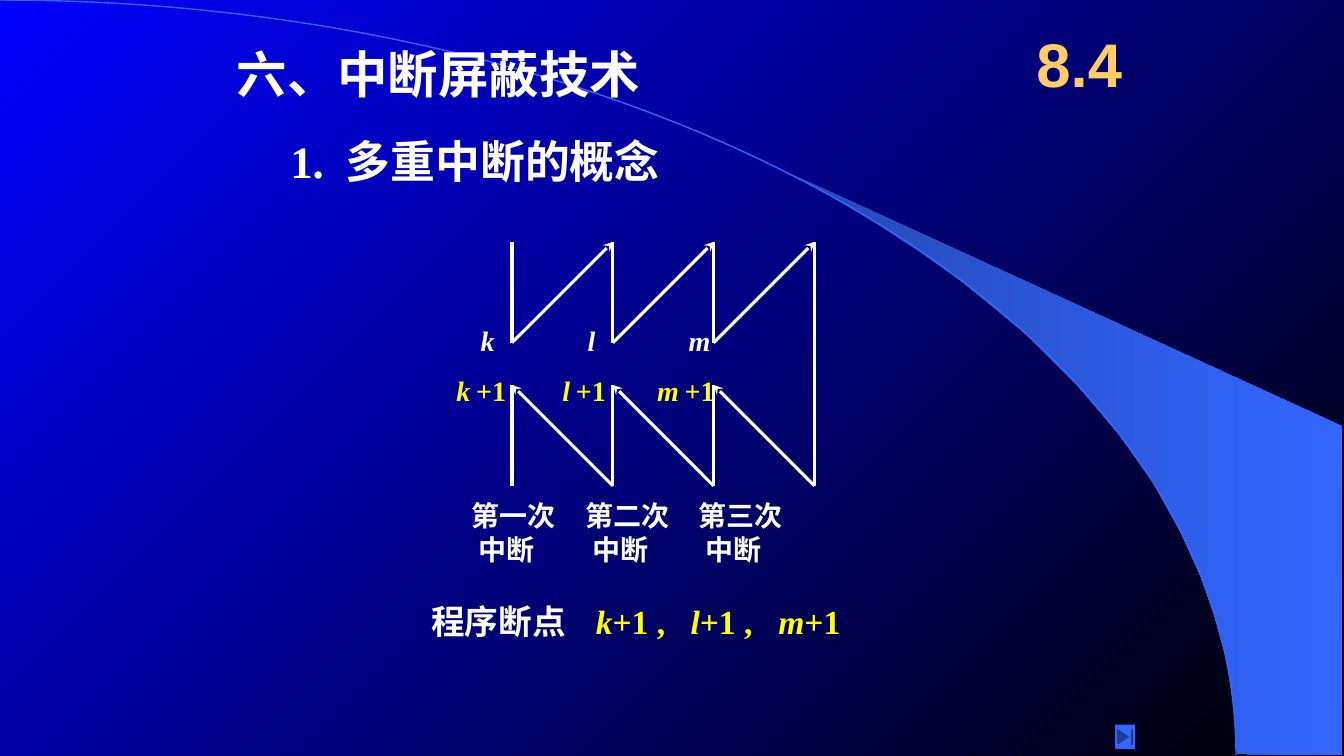
"""Build the slide that explains nested interrupts and their breakpoints."""
from typing import Any, NamedTuple

from lxml.etree import SubElement
from pptx import Presentation
from pptx.dml.color import RGBColor
from pptx.enum.shapes import MSO_CONNECTOR, MSO_SHAPE
from pptx.enum.text import MSO_ANCHOR, MSO_AUTO_SIZE, PP_ALIGN
from pptx.oxml.ns import qn
from pptx.shapes.autoshape import Shape
from pptx.slide import Slide
from pptx.util import Emu, Inches, Pt

STRAIGHT = MSO_CONNECTOR.STRAIGHT
END_BUTTON = MSO_SHAPE.ACTION_BUTTON_END
MIDDLE = MSO_ANCHOR.MIDDLE
GROW = MSO_AUTO_SIZE.SHAPE_TO_FIT_TEXT
LEFT, CENTER = PP_ALIGN.LEFT, PP_ALIGN.CENTER

WIDTH, HEIGHT = Inches(13.33), Inches(7.5)
COLORS = {
    "blue": "0000FF", "black": "000000", "deep": "2449B6", "sky": "3366FF",
    "white": "FFFFFF", "yellow": "FFFF00", "gold": "FFCC66",
}
SERIF, SANS = "Times New Roman", "Arial"
GROWING = {"word_wrap": False, "auto_size": GROW}
WRAPPED = {"word_wrap": True, "auto_size": GROW}
CENTERED = {"word_wrap": True, "vertical_anchor": MIDDLE}
TIGHT = {
    "word_wrap": False, "vertical_anchor": MIDDLE,
    "margin_left": 0, "margin_top": 0, "margin_right": 0, "margin_bottom": 0,
}
ZIGZAG_LEFT, ZIGZAG_STEP = 38.1, 7.5
CALL_TOP, CALL_BOTTOM, RETURN_TOP, RETURN_BOTTOM = 32, 45.33, 50.93, 64.27
CAPTION_LEFT, CAPTION_STEP = 34.36, 8.45


class Point(NamedTuple):
    x: float
    y: float


class Box(NamedTuple):
    left: float
    top: float
    width: float
    height: float


class Part(NamedTuple):
    text: str
    color: str = "white"
    italic: bool = False
    size: float | None = None


class TextBlock(NamedTuple):
    box: Box
    size: float
    lines: list[list[Part]]
    frame: dict[str, Any] = GROWING
    font: str = SERIF
    align: PP_ALIGN = LEFT
    tabs: tuple[float, ...] = ()
    later_indent: float = 0


class Interrupt(NamedTuple):
    name: str
    ordinal: str
    stop: Box
    resume: Box


INTERRUPTS = [
    Interrupt("k", "第一次", Box(35.03, 42.13, 2.55, 5.73), Box(33.23, 48.8, 5.18, 5.73)),
    Interrupt("l", "第二次", Box(42.99, 42.13, 2.1, 5.73), Box(41.11, 48.8, 4.73, 5.73)),
    Interrupt("m", "第三次", Box(50.49, 42.13, 3.15, 5.73), Box(48.16, 48.8, 5.78, 5.73)),
]
STATEMENTS = [
    TextBlock(Box(21.6, 18.13, 32, 6.27), 32, [[Part("1.\t多重中断的概念")]], TIGHT,
              tabs=(4.13,)),
    TextBlock(Box(16.88, 5.07, 31.66, 9.33), 36, [[Part("六、中断屏蔽技术")]]),
    TextBlock(Box(75.62, 2.2, 9.38, 12.27), 44, [[Part("8.4", "gold")]], CENTERED,
              SANS, CENTER),
    TextBlock(Box(31.36, 78.85, 36.16, 6.67), 24, [[
        Part("程序断点\t"),
        Part("k", "yellow", True), Part("+1 ,\t", "yellow"),
        Part("l", "yellow", True), Part("+1 ,\t", "yellow"),
        Part("m", "yellow", True), Part("+1", "yellow")]],
        WRAPPED, tabs=(12.23, 19.28, 25.81)),
]
BEAM = [
    Point(92.05, 99.73), Point(99.85, 99.87), Point(99.85, 56.4), Point(58.96, 23.07),
    Point(62.42, 26.53), Point(65.27, 29.6), Point(68.49, 33.33), Point(71.64, 37.33),
    Point(76.22, 44), Point(80.27, 51.2), Point(83.27, 57.47), Point(85.82, 63.87),
    Point(87.85, 70.4), Point(89.35, 76.27), Point(90.32, 81.2), Point(91.3, 87.47),
    Point(91.75, 92.8),
]
HORIZON = [Point(0, 0), Point(50.79, 0), Point(91.97, 44.67), Point(91.97, 99.87)]
HORIZON_STEPS = 60


def across(share: float) -> Emu:
    return Emu(round(WIDTH * share / 100))


def down(share: float) -> Emu:
    return Emu(round(HEIGHT * share / 100))


def frame_of(box: Box) -> tuple[Emu, Emu, Emu, Emu]:
    return across(box.left), down(box.top), across(box.width), down(box.height)


def rgb(name: str) -> RGBColor:
    return RGBColor.from_string(COLORS[name])


def paint_gradient(fill: Any, names: tuple[str, str], angle: float) -> None:
    fill.gradient()
    fill.gradient_angle = angle
    for stop, name in zip(fill.gradient_stops, names):
        stop.color.rgb = rgb(name)


def curve_point(controls: list[Point], t: float) -> Point:
    weights = ((1 - t) ** 3, 3 * t * (1 - t) ** 2, 3 * t ** 2 * (1 - t), t ** 3)
    return Point(*(sum(w * v for w, v in zip(weights, axis)) for axis in zip(*controls)))


def draw_outline(slide: Slide, points: list[Point], close: bool) -> Shape:
    corners = [(across(point.x), down(point.y)) for point in points]
    builder = slide.shapes.build_freeform(*corners[0])
    builder.add_line_segments(corners[1:], close=close)
    outline = builder.convert_to_shape()
    outline.shadow.inherit = False
    return outline


def draw_backdrop(slide: Slide) -> None:
    paint_gradient(slide.background.fill, ("blue", "black"), 315)
    beam = draw_outline(slide, BEAM, True)
    paint_gradient(beam.fill, ("deep", "sky"), 0)
    beam.line.fill.background()
    arc = [curve_point(HORIZON, n / HORIZON_STEPS) for n in range(HORIZON_STEPS + 1)]
    horizon = draw_outline(slide, arc, False)
    horizon.fill.background()
    horizon.line.color.rgb = rgb("sky")
    horizon.line.width = Pt(1)


def draw_line(slide: Slide, start: Point, end: Point, arrow: bool = False) -> None:
    stroke = slide.shapes.add_connector(
        STRAIGHT, across(start.x), down(start.y), across(end.x), down(end.y))
    stroke.line.color.rgb = rgb("white")
    stroke.line.width = Pt(2.25)
    properties = stroke.element.spPr
    if arrow:
        SubElement(properties.find(qn("a:ln")), qn("a:tailEnd"), type="stealth")
    SubElement(properties, qn("a:effectLst"))


def draw_zigzag(slide: Slide) -> None:
    columns = [ZIGZAG_LEFT + ZIGZAG_STEP * n for n in range(len(INTERRUPTS) + 1)]
    for here, following in zip(columns, columns[1:]):
        draw_line(slide, Point(here, CALL_TOP), Point(here, CALL_BOTTOM))
        draw_line(slide, Point(here, CALL_BOTTOM), Point(following, CALL_TOP), True)
        draw_line(slide, Point(following, RETURN_BOTTOM), Point(here, RETURN_TOP), True)
        draw_line(slide, Point(here, RETURN_TOP), Point(here, RETURN_BOTTOM))
    draw_line(slide, Point(columns[-1], CALL_TOP), Point(columns[-1], RETURN_BOTTOM))


def apply_format(target: Any, values: dict[str, Any]) -> None:
    for key, value in values.items():
        setattr(target, key, value)


def write(slide: Slide, block: TextBlock) -> None:
    frame = slide.shapes.add_textbox(*frame_of(block.box)).text_frame
    apply_format(frame, block.frame)
    for index, parts in enumerate(block.lines):
        line = frame.add_paragraph() if index else frame.paragraphs[0]
        line.alignment = block.align
        properties = line._p.get_or_add_pPr()
        if index and block.later_indent:
            properties.set("marL", str(across(block.later_indent)))
        if block.tabs:
            stops = SubElement(properties, qn("a:tabLst"))
            for tab in block.tabs:
                SubElement(stops, qn("a:tab"), pos=str(across(tab)), algn="l")
        for part in parts:
            run = line.add_run()
            run.text = part.text
            apply_format(run.font, {"name": block.font, "size": Pt(part.size or block.size),
                                    "bold": True, "italic": part.italic})
            run.font.color.rgb = rgb(part.color)


def label_interrupts(slide: Slide) -> None:
    for n, item in enumerate(INTERRUPTS):
        write(slide, TextBlock(item.stop, 20, [[Part(item.name, italic=True)]]))
        write(slide, TextBlock(item.resume, 20, [[
            Part(item.name, "yellow", True), Part(" ", "yellow", True, 16),
            Part("+1", "yellow")]]))
        caption = Box(CAPTION_LEFT + CAPTION_STEP * n, 65.33, 7.8, 10.27)
        write(slide, TextBlock(caption, 20, [[Part(item.ordinal)], [Part("中断")]],
                               later_indent=0.52))


def draw_end_button(slide: Slide) -> None:
    button = slide.shapes.add_shape(END_BUTTON, *frame_of(Box(82.97, 95.87, 1.5, 3.2)))
    button.shadow.inherit = False
    button.fill.solid()
    button.fill.fore_color.rgb = rgb("sky")
    button.line.fill.background()


deck = Presentation()
deck.slide_width, deck.slide_height = WIDTH, HEIGHT
interrupt_slide = deck.slides.add_slide(deck.slide_layouts[6])
draw_backdrop(interrupt_slide)
draw_zigzag(interrupt_slide)
label_interrupts(interrupt_slide)
for statement in STATEMENTS:
    write(interrupt_slide, statement)
draw_end_button(interrupt_slide)
deck.save("out.pptx")
